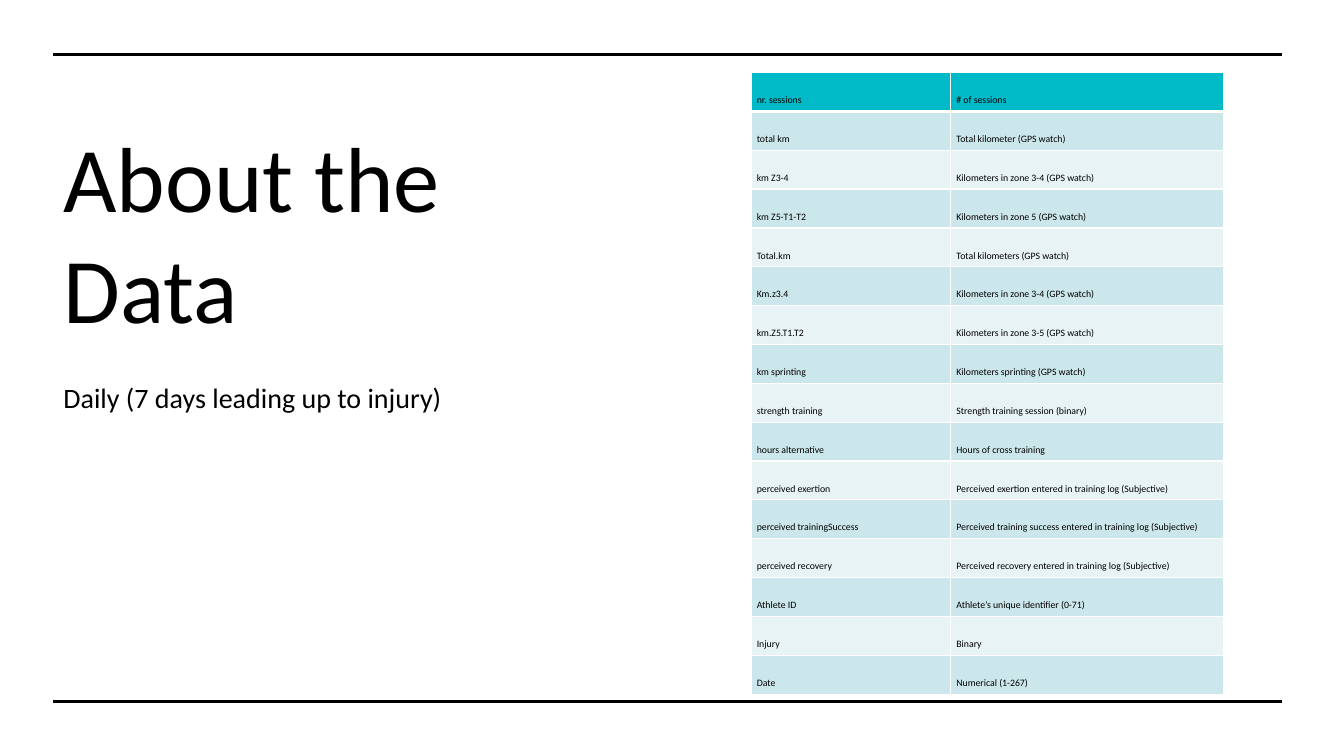
from lxml.etree import SubElement
from pptx import Presentation
from pptx.dml.color import RGBColor
from pptx.enum.shapes import MSO_CONNECTOR
from pptx.enum.text import MSO_ANCHOR, MSO_AUTO_SIZE, PP_ALIGN
from pptx.oxml import parse_xml
from pptx.oxml.ns import nsdecls, qn
from pptx.util import Pt

COLORS = {"ink": "000000", "header": "00BAC8", "odd": "CCE7EB",
          "even": "E7F3F5", "border": "FFFFFF"}
FONT = "Calibri"
LEFT, RIGHT = 38.2, 915.8
TEXT_WIDTH = 409
TABLE_LEFT, TABLE_TOP = 536.4, 51.8
COLUMN_WIDTHS = (142.6, 195.1)
ROW_HEIGHT = 27.76
VARIABLES = [
    ("nr. sessions", "# of sessions"),
    ("total km", "Total kilometer (GPS watch)"),
    ("km Z3-4", "Kilometers in zone 3-4 (GPS watch)"),
    ("km Z5-T1-T2", "Kilometers in zone 5 (GPS watch)"),
    ("Total.km", "Total kilometers (GPS watch)"),
    ("Km.z3.4", "Kilometers in zone 3-4 (GPS watch)"),
    ("km.Z5.T1.T2", "Kilometers in zone 3-5 (GPS watch)"),
    ("km sprinting", "Kilometers sprinting (GPS watch)"),
    ("strength training", "Strength training session (binary)"),
    ("hours alternative", "Hours of cross training"),
    ("perceived exertion", "Perceived exertion entered in training log (Subjective)"),
    ("perceived trainingSuccess",
     "Perceived training success entered in training log (Subjective)"),
    ("perceived recovery", "Perceived recovery entered in training log (Subjective)"),
    ("Athlete ID", "Athlete’s unique identifier (0-71)"),
    ("Injury", "Binary"),
    ("Date", "Numerical (1-267)"),
]


def color(name):
    return RGBColor.from_string(COLORS[name])


def write(frame, text, size, space_before=0):
    frame.word_wrap = True
    paragraph = frame.paragraphs[0]
    paragraph.alignment = PP_ALIGN.LEFT
    paragraph.space_before = Pt(space_before)
    run = paragraph.add_run()
    run.text = text
    run.font.name = FONT
    run.font.size = Pt(size)
    run.font.bold = False
    run.font.color.rgb = color("ink")


def place_title(slide, text):
    title = slide.shapes.title
    title.left, title.top = Pt(LEFT), Pt(77)
    title.width, title.height = Pt(TEXT_WIDTH), Pt(176.4)
    title.text_frame.auto_size = MSO_AUTO_SIZE.NONE
    title.text_frame.vertical_anchor = MSO_ANCHOR.MIDDLE
    write(title.text_frame, text, size=66)


def add_subtitle(slide, text):
    subtitle = slide.shapes.add_textbox(Pt(LEFT), Pt(268.6), Pt(TEXT_WIDTH), Pt(194.4))
    write(subtitle.text_frame, text, size=20, space_before=10)


def add_rule(slide, y):
    rule = slide.shapes.add_connector(
        MSO_CONNECTOR.STRAIGHT, Pt(LEFT), Pt(y), Pt(RIGHT), Pt(y))
    rule.line.color.rgb = color("ink")
    rule.line.width = Pt(2.25)
    SubElement(rule._element.spPr, qn("a:effectLst"))


def set_borders(cell, widths):
    properties = cell._tc.get_or_add_tcPr()
    for index, (side, width) in enumerate(widths.items()):
        properties.insert(index, parse_xml(
            f'<a:{side} {nsdecls("a")} w="{Pt(width)}"><a:solidFill>'
            f'<a:srgbClr val="{COLORS["border"]}"/></a:solidFill></a:{side}>'))


def fill_cell(cell, text, row):
    band = "header" if row == 0 else "odd" if row % 2 else "even"
    cell.fill.solid()
    cell.fill.fore_color.rgb = color(band)
    cell.margin_left = cell.margin_right = Pt(4.2)
    cell.margin_top, cell.margin_bottom = Pt(2.1), Pt(3.6)
    cell.vertical_anchor = MSO_ANCHOR.BOTTOM
    write(cell.text_frame, text, size=7)
    set_borders(cell, {"lnL": 1, "lnR": 1, "lnT": 3 if row == 1 else 1,
                       "lnB": 3 if row == 0 else 1})


def add_variable_table(slide):
    table = slide.shapes.add_table(
        len(VARIABLES), len(COLUMN_WIDTHS), Pt(TABLE_LEFT), Pt(TABLE_TOP),
        Pt(sum(COLUMN_WIDTHS)), Pt(ROW_HEIGHT * len(VARIABLES))).table
    for column, width in zip(table.columns, COLUMN_WIDTHS):
        column.width = Pt(width)
    for row, variable in enumerate(VARIABLES):
        table.rows[row].height = Pt(ROW_HEIGHT)
        for column, text in enumerate(variable):
            fill_cell(table.cell(row, column), text, row)


def main():
    """Build the slide that describes the daily training data."""
    deck = Presentation()
    deck.slide_width, deck.slide_height = Pt(960), Pt(540)
    slide = deck.slides.add_slide(deck.slide_layouts[5])
    place_title(slide, "About the Data")
    add_rule(slide, 38.9)
    add_subtitle(slide, "Daily (7 days leading up to injury)")
    add_rule(slide, 501.1)
    add_variable_table(slide)
    deck.save("out.pptx")


if __name__ == "__main__":
    main()
